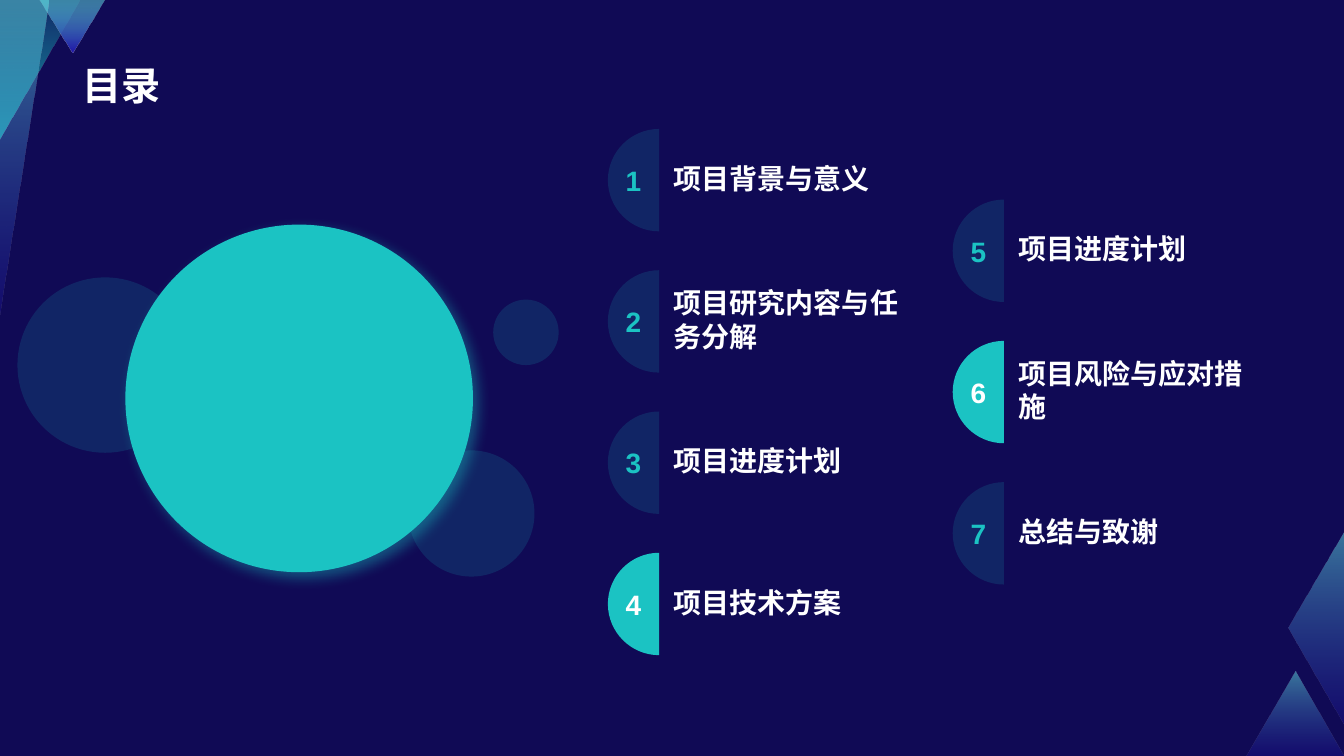
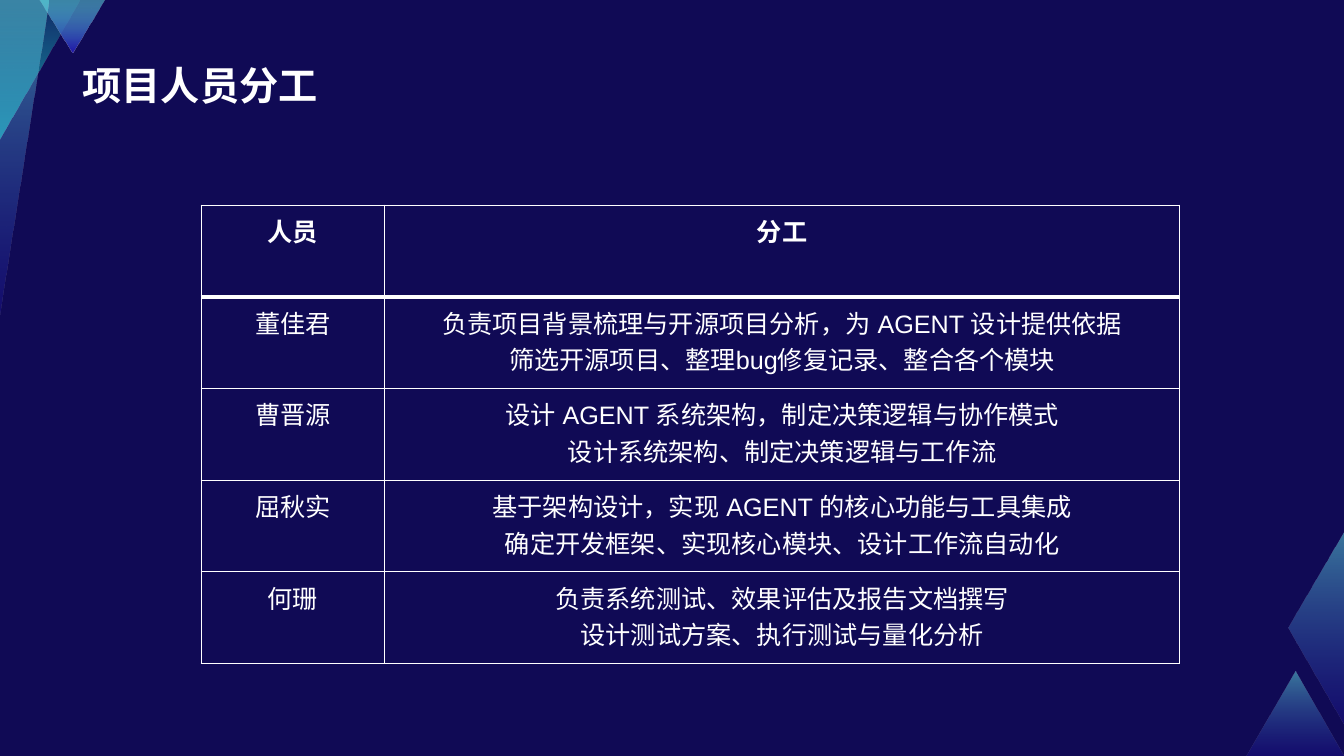
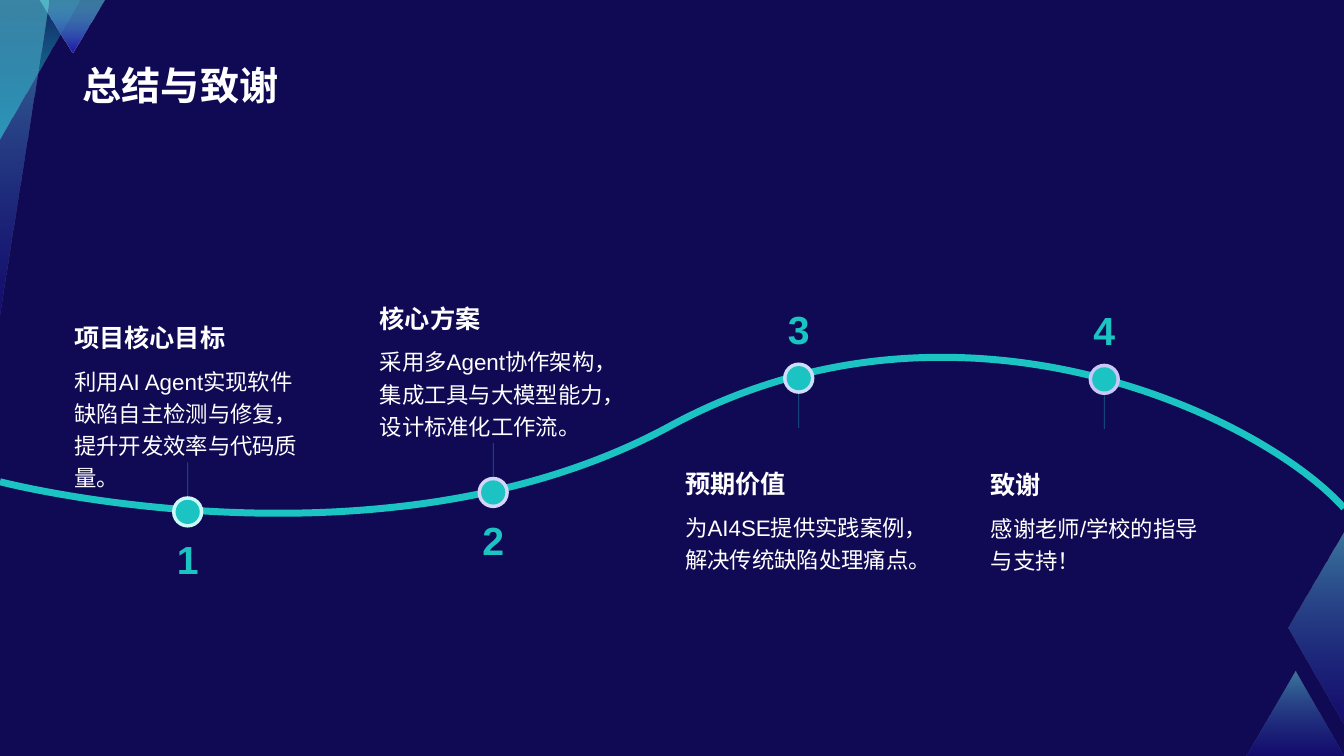
from lxml import etree
from pptx import Presentation
from pptx.dml.color import RGBColor
from pptx.enum.lang import MSO_LANGUAGE_ID
from pptx.enum.shapes import MSO_CONNECTOR, MSO_SHAPE
from pptx.enum.text import MSO_ANCHOR, PP_ALIGN
from pptx.oxml.ns import qn
from pptx.util import Cm, Pt

NAVY = RGBColor(0x10, 0x0A, 0x55)
BLUE = RGBColor(0x20, 0x14, 0xAA)
TEAL = RGBColor(0x1B, 0xC3, 0xC3)
AQUA = RGBColor(0x67, 0xEA, 0xEA)
WHITE = RGBColor(0xFF, 0xFF, 0xFF)
FONT = "Arial"
CHINESE = MSO_LANGUAGE_ID.SIMPLIFIED_CHINESE
LEFT, CENTER = PP_ALIGN.LEFT, PP_ALIGN.CENTER
TOP, MIDDLE, BOTTOM = MSO_ANCHOR.TOP, MSO_ANCHOR.MIDDLE, MSO_ANCHOR.BOTTOM
OVAL, STRAIGHT = MSO_SHAPE.OVAL, MSO_CONNECTOR.STRAIGHT
TITLE_ONLY = 5

# Corner facets: outline in cm, (colour, opacity) of both stops, angle
FADE = ((BLUE, 28), (AQUA, 49))
FACETS = [
    ([(31.42, 19.05), (33.87, 19.05), (32.65, 16.92)], FADE, 90),
    ([(33.87, 13.38), (33.87, 18.29), (32.46, 15.82)], FADE, 90),
    ([(0, 0), (2.01, 0), (1.98, 0.08), (0, 3.52)], ((TEAL, 15), (TEAL, 82)), 270),
    ([(0.99, 0), (2.64, 0), (1.83, 1.32)], ((BLUE, 100), (AQUA, 49)), 90),
    ([(0, 0), (1.21, 0), (1.19, 0.15), (0, 8)], FADE, 90),
]

# Bubbles: left, top, diameter, opacity
BUBBLES = [
    (10.29, 11.35, 3.18, 15),
    (0.44, 6.99, 4.42, 15),
    (3.16, 5.66, 8.76, 100),
    (12.43, 7.55, 1.65, 15),
]
CHAPTERS = [
    "项目背景与意义", "项目研究内容与任务分解", "项目进度计划", "项目技术方案",
    "项目进度计划", "项目风险与应对措施", "总结与致谢",
]
HIGHLIGHTED = (4, 6)
FIRST_COLUMN = 4

STAFF = [
    ("人员", "分工"),
    ("董佳君", "负责项目背景梳理与开源项目分析，为 AGENT 设计提供依据\n"
               "筛选开源项目、整理bug修复记录、整合各个模块"),
    ("曹晋源", "设计 AGENT 系统架构，制定决策逻辑与协作模式\n"
               "设计系统架构、制定决策逻辑与工作流"),
    ("屈秋实", "基于架构设计，实现 AGENT 的核心功能与工具集成\n"
               "确定开发框架、实现核心模块、设计工作流自动化"),
    ("何珊", "负责系统测试、效果评估及报告文档撰写\n"
             "设计测试方案、执行测试与量化分析"),
]
STAFF_COLUMNS = (4.62, 20.04)
STAFF_ROW = 2.31

CURVE_BOX = (0, 8.99, 33.87, 3.94)
CURVE_START = (0, 12.14)
CURVE = [
    ((0, 12.14), (9.7, 14.66), (16.92, 10.72)),
    ((24.16, 6.81), (31.8, 10.49), (33.87, 12.8)),
]
# Milestones: centre height, text above the curve, ring colour, heading, body
MILESTONES = [
    (12.9, True, RGBColor(0xCC, 0xF8, 0xF8), "项目核心目标",
     "利用AI Agent实现软件缺陷自主检测与修复，提升开发效率与代码质量。"),
    (12.41, True, RGBColor(0xD7, 0xD5, 0xF7), "核心方案",
     "采用多Agent协作架构，集成工具与大模型能力，设计标准化工作流。"),
    (9.53, False, RGBColor(0xCF, 0xDD, 0xFA), "预期价值",
     "为AI4SE提供实践案例，解决传统缺陷处理痛点。"),
    (9.56, False, RGBColor(0xCA, 0xC6, 0xF8), "致谢",
     "感谢老师/学校的指导与支持！"),
]


def write(frame, text, size, color=WHITE, bold=False, align=LEFT, spacing=None):
    """Fill a text frame, one paragraph for each line of text."""
    look = {"size": Pt(size), "bold": bold, "name": FONT, "language_id": CHINESE}
    frame.word_wrap = True
    for index, line in enumerate(text.split("\n")):
        para = frame.add_paragraph() if index else frame.paragraphs[0]
        para.alignment = align
        para.line_spacing = spacing
        span = para.add_run()
        span.text = line
        for name, value in look.items():
            setattr(span.font, name, value)
        span.font.color.rgb = color


def add_text(page, place, text, size, anchor=TOP, **look):
    box = page.shapes.add_textbox(*map(Cm, place))
    box.text_frame.vertical_anchor = anchor
    write(box.text_frame, text, size, **look)


def set_opacity(color_element, percent):
    if percent < 100:
        alpha = etree.SubElement(color_element, qn("a:alpha"))
        alpha.set("val", str(percent * 1000))


def paint(shape, color, opacity=100):
    shape.shadow.inherit = False
    shape.fill.solid()
    shape.fill.fore_color.rgb = color
    set_opacity(shape.element.spPr.find(".//" + qn("a:srgbClr")), opacity)
    shape.line.fill.background()


def add_circle(page, left, top, diameter, color, opacity=100):
    circle = page.shapes.add_shape(OVAL, *map(Cm, (left, top, diameter, diameter)))
    paint(circle, color, opacity)
    return circle


def add_outline(page, points, close=True):
    points = [(Cm(x), Cm(y)) for x, y in points]
    builder = page.shapes.build_freeform(*points[0])
    builder.add_line_segments(points[1:], close=close)
    shape = builder.convert_to_shape()
    shape.shadow.inherit = False
    return shape


def add_curve(page, place, start, segments, close=False):
    """Add a freeform of cubic segments, each two controls and an end point."""
    left, top, width, height = place
    shape = add_outline(page, [(left, top), (left + width, top + height)], False)
    outline = shape.element.spPr.find(".//" + qn("a:path"))
    for step in list(outline):
        outline.remove(step)
    steps = [("a:moveTo", [start])] + [("a:cubicBezTo", part) for part in segments]
    if close:
        steps += [("a:lnTo", [start]), ("a:close", [])]
    for tag, points in steps:
        step = etree.SubElement(outline, qn(tag))
        for x, y in points:
            etree.SubElement(step, qn("a:pt"), x=str(int(Cm(x - left))),
                             y=str(int(Cm(y - top))))
    return shape


def add_half_disc(page, left, top, radius):
    right, middle, bottom = left + radius, top + radius, top + 2 * radius
    pull = 0.55 * radius
    segments = [
        ((right - pull, top), (left, middle - pull), (left, middle)),
        ((left, middle + pull), (right - pull, bottom), (right, bottom)),
    ]
    return add_curve(page, (left, top, radius, 2 * radius), (right, top),
                     segments, close=True)


def add_page(deck, title):
    page = deck.slides.add_slide(deck.slide_layouts[TITLE_ONLY])
    write(page.shapes.title.text_frame, title, 28, bold=True)
    return page


def set_up_layout(deck):
    deck.slide_width, deck.slide_height = Cm(33.87), Cm(19.05)
    background = deck.slide_master.background.fill
    background.solid()
    background.fore_color.rgb = NAVY
    title = deck.slide_layouts[TITLE_ONLY].placeholders[0]
    place = {"left": 1.83, "top": 0.36, "width": 30.18, "height": 2.49}
    for name, value in place.items():
        setattr(title, name, Cm(value))
    title.text_frame.vertical_anchor = BOTTOM


def add_facets(deck, page):
    """Draw the corner facets on a page, then move them to the master."""
    tree = deck.slide_master.shapes.element
    for index, (points, stops, angle) in enumerate(FACETS):
        facet = add_outline(page, points)
        facet.line.fill.background()
        facet.fill.gradient()
        facet.fill.gradient_angle = angle
        for stop, (color, _) in zip(facet.fill.gradient_stops, stops):
            stop.color.rgb = color
        colors = facet.element.spPr.findall(".//" + qn("a:srgbClr"))
        for element, (_, opacity) in zip(colors, stops):
            set_opacity(element, opacity)
        facet.element.nvSpPr.cNvPr.id = 20 + index
        tree.insert(2 + index, facet.element)


def add_glow(shape):
    effects = shape.element.spPr.find(qn("a:effectLst"))
    glow = etree.SubElement(effects, qn("a:outerShdw"))
    for name, value in {"blurRad": Pt(10), "dist": Pt(5), "dir": 45 * 60000}.items():
        glow.set(name, str(int(value)))
    color = etree.SubElement(glow, qn("a:srgbClr"), val=str(TEAL))
    set_opacity(color, 40)


def fill_contents(page):
    for left, top, diameter, opacity in BUBBLES:
        bubble = add_circle(page, left, top, diameter, TEAL, opacity)
        if opacity == 100:
            add_glow(bubble)
    radius, pitch = 1.29, 3.56
    for index, chapter in enumerate(CHAPTERS):
        column, row = divmod(index, FIRST_COLUMN)
        left = 15.32 + column * 8.69
        top = 3.25 + (row + column / 2) * pitch
        strong = index + 1 in HIGHLIGHTED
        badge = add_half_disc(page, left, top, radius)
        paint(badge, TEAL, 100 if strong else 15)
        badge.text_frame.vertical_anchor = MIDDLE
        write(badge.text_frame, str(index + 1), 20, bold=True, align=CENTER,
              color=WHITE if strong else TEAL)
        add_text(page, (left + 1.41, top - 0.11, 6.58, 2.69), chapter, 20,
                 anchor=MIDDLE, bold=True)


def set_borders(cell, widths):
    cell_format = cell._tc.get_or_add_tcPr()
    for index, (side, width) in enumerate(widths.items()):
        line = etree.Element(qn("a:ln" + side), w=str(Pt(width)))
        fill = etree.SubElement(line, qn("a:solidFill"))
        etree.SubElement(fill, qn("a:srgbClr"), val=str(WHITE))
        cell_format.insert(index, line)


def fill_staff(page):
    place = (5.07, 5.17, sum(STAFF_COLUMNS), STAFF_ROW * len(STAFF))
    table = page.shapes.add_table(len(STAFF), len(STAFF_COLUMNS),
                                  *map(Cm, place)).table
    table.first_row = table.horz_banding = False
    for column, width in zip(table.columns, STAFF_COLUMNS):
        column.width = Cm(width)
    for row, texts in enumerate(STAFF):
        table.rows[row].height = Cm(STAFF_ROW)
        for cell, text in zip(table.rows[row].cells, texts):
            write(cell.text_frame, text, 18, bold=row == 0, align=CENTER,
                  spacing=1.3)
            cell.fill.background()
            set_borders(cell, {"L": 1, "R": 1, "T": 3 if row == 1 else 1,
                               "B": 3 if row == 0 else 1})


def add_stem(page, x, start, end):
    stem = page.shapes.add_connector(STRAIGHT, *map(Cm, (x, start, x, end)))
    stem.line.width = Pt(0.5)
    stem.line.color.rgb = TEAL
    line_format = stem.element.spPr
    set_opacity(line_format.find(".//" + qn("a:srgbClr")), 50)
    etree.SubElement(line_format, qn("a:effectLst"))


def fill_summary(page):
    curve = add_curve(page, CURVE_BOX, CURVE_START, CURVE)
    curve.fill.background()
    curve.line.color.rgb = TEAL
    curve.line.width = Pt(5)
    for index, (y, above, ring, heading, body) in enumerate(MILESTONES):
        x = 4.73 + index * 7.7
        for diameter, color in ((0.79, ring), (0.61, TEAL)):
            add_circle(page, x - diameter / 2, y - diameter / 2, diameter, color)
        direction = -1 if above else 1
        add_stem(page, x, y + direction * 0.4, y + direction * 1.25)
        number_top = y + (0.47 if above else -1.97)
        add_text(page, (x - 0.6, number_top, 1.2, 1.45), str(index + 1), 28,
                 color=TEAL, bold=True, align=CENTER)
        left, top = x - 3.11, y + (-5.8 if above else 1.25)
        add_text(page, (left, top, 6.25, 1.91), heading, 18, anchor=BOTTOM, bold=True)
        add_text(page, (left, top + 1.91, 6.25, 2.54), body, 16, spacing=1.2)


def set_east_asian_font(page):
    for latin in list(page.element.iter(qn("a:latin"))):
        latin.addnext(etree.Element(qn("a:ea"), typeface=FONT))


def main():
    deck = Presentation()
    set_up_layout(deck)
    pages = [("目录", fill_contents), ("项目人员分工", fill_staff),
             ("总结与致谢", fill_summary)]
    for index, (title, fill_page) in enumerate(pages):
        page = add_page(deck, title)
        if index == 0:
            add_facets(deck, page)
        fill_page(page)
        set_east_asian_font(page)
    deck.save("out.pptx")


if __name__ == "__main__":
    main()
